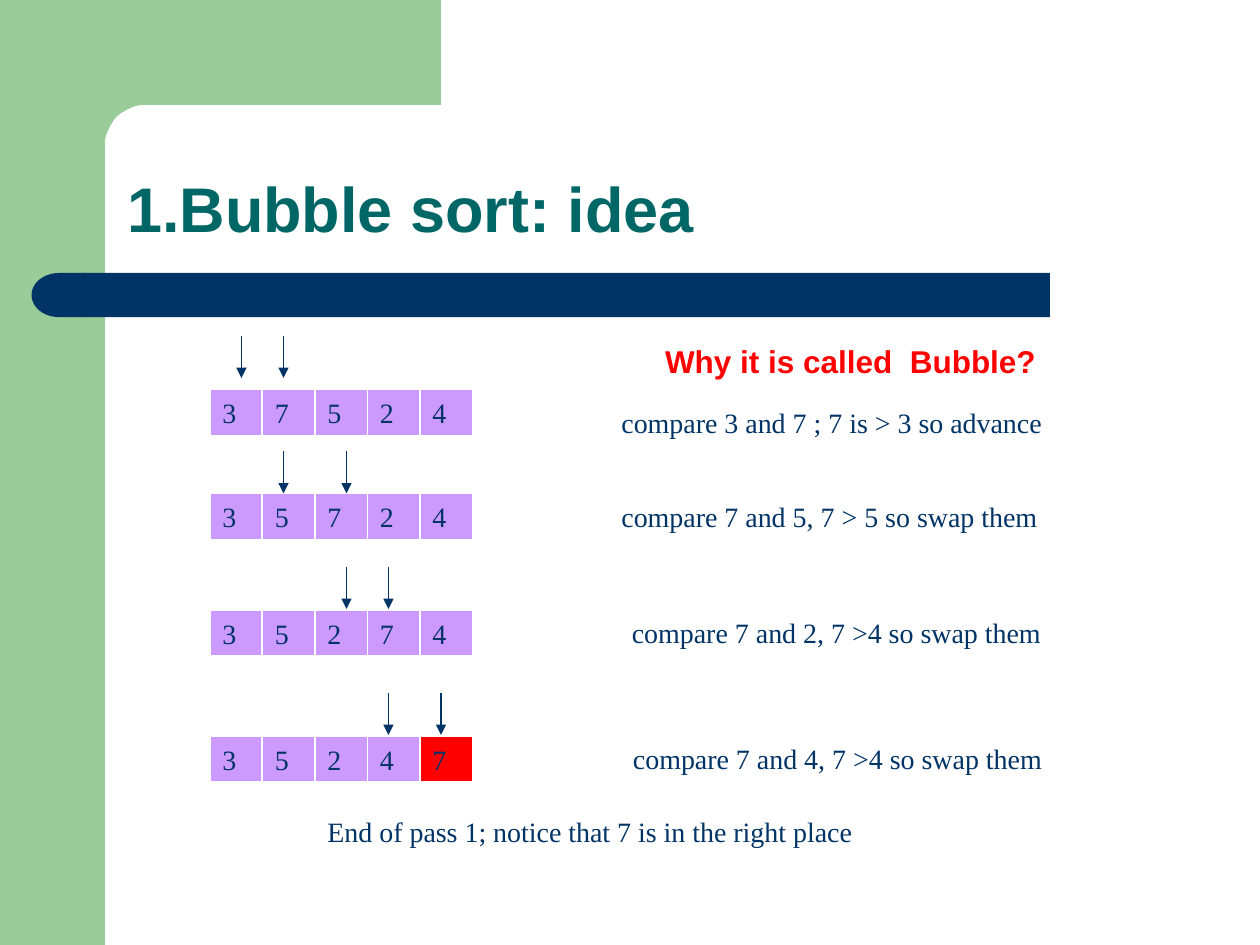
"""Builds a slide that explains the first pass of bubble sort."""
from math import cos, pi, sin

from lxml.etree import SubElement
from pptx import Presentation
from pptx.dml.color import RGBColor
from pptx.enum.shapes import MSO_CONNECTOR as Connector, MSO_SHAPE as Shape
from pptx.enum.text import MSO_ANCHOR as Anchor, MSO_AUTO_SIZE as AutoSize, PP_ALIGN as Align
from pptx.oxml.ns import qn
from pptx.util import Pt

PX = 7620
GREEN, NAVY, TEAL = "99CC99", "003366", "006666"
PURPLE, RED, WHITE = "CC99FF", "FF0000", "FFFFFF"


def color(value):
    return RGBColor.from_string(value)


def write(box, text, size=16, name="Times New Roman", tint=NAVY, bold=False, align=Align.LEFT):
    frame = box.text_frame
    frame.text = text
    frame.word_wrap = True
    para = frame.paragraphs[0]
    para.alignment = align
    font = para.runs[0].font
    font.size, font.name, font.bold = Pt(size), name, bold
    font.color.rgb = color(tint)


deck = Presentation()
deck.slide_width, deck.slide_height = 1200 * PX, 900 * PX
page = deck.slides.add_slide(deck.slide_layouts[5])
shapes = page.shapes

side = shapes.add_shape(Shape.RECTANGLE, 0, 0, 100 * PX, 900 * PX)
arc = [(139 - 39 * sin(step * pi / 24), 139 - 39 * cos(step * pi / 24)) for step in range(13)]
builder = shapes.build_freeform(420, 0, scale=PX)
builder.add_line_segments([(420, 100), *arc, (100, 154), (60, 154), (60, 0)])
corner = builder.convert_to_shape()
bar = shapes.add_shape(Shape.RECTANGLE, 80 * PX, 260 * PX, 920 * PX, 42 * PX)
cap = shapes.add_shape(Shape.FLOWCHART_DELAY, 30 * PX, 260 * PX, 52 * PX, 42 * PX)
cap.rotation = 180
for shape, tint in [(side, GREEN), (corner, GREEN), (bar, NAVY), (cap, NAVY)]:
    shape.shadow.inherit = False
    shape.fill.solid()
    shape.fill.fore_color.rgb = color(tint)
    shape.line.fill.background()

title = shapes.title
title.left, title.top, title.width, title.height = 109 * PX, 109 * PX, 1021 * PX, 131 * PX
write(title, "1.Bubble sort: idea", 36, "Arial", TEAL, True)
title.text_frame.auto_size = AutoSize.NONE
title.text_frame.vertical_anchor = Anchor.BOTTOM
title.text_frame.paragraphs[0].line_spacing = 0.9

steps = [
    ("37524", 371, 320, (230, 270)),
    ("35724", 470, 430, (270, 330)),
    ("35274", 581, 540, (330, 370)),
    ("35247", 701, 660, (370, 420)),
]
for digits, cell_top, arrow_top, arrow_lefts in steps:
    for column, digit in enumerate(digits):
        cell = shapes.add_shape(
            Shape.RECTANGLE, (200 + 50 * column) * PX, cell_top * PX, 50 * PX, 44 * PX)
        cell.shadow.inherit = False
        cell.fill.solid()
        in_place = digits == "35247" and digit == "7"
        cell.fill.fore_color.rgb = color(RED if in_place else PURPLE)
        cell.line.color.rgb = color(WHITE)
        cell.line.width = Pt(1)
        write(cell, digit)
        cell.text_frame.vertical_anchor = Anchor.MIDDLE
    for left in arrow_lefts:
        arrow = shapes.add_connector(
            Connector.STRAIGHT, left * PX, arrow_top * PX, left * PX, (arrow_top + 40) * PX)
        arrow.line.color.rgb = color(NAVY)
        arrow.line.width = Pt(1)
        SubElement(arrow.line._get_or_add_ln(), qn("a:tailEnd"), type="triangle")
        SubElement(arrow._element.spPr, qn("a:effectLst"))

notes = [
    ("compare 3 and 7 ; 7 is > 3 so advance", 580, 380, 500),
    ("compare 7 and 5, 7 > 5 so swap them", 580, 470, 450),
    ("compare 7 and 2, 7 >4 so swap them", 590, 580, 450),
    ("compare 7 and 4, 7 >4 so swap them", 591, 700, 450),
    ("End of pass 1; notice that 7 is in the right place", 300, 770, 770),
]
for text, left, top, width in notes:
    write(shapes.add_textbox(left * PX, top * PX, width * PX, 44 * PX), text)

question = shapes.add_textbox(610 * PX, 320 * PX, 400 * PX, 48 * PX)
write(question, "Why it is called  Bubble?", 18, "Arial", RED, True, Align.CENTER)

deck.save("out.pptx")
